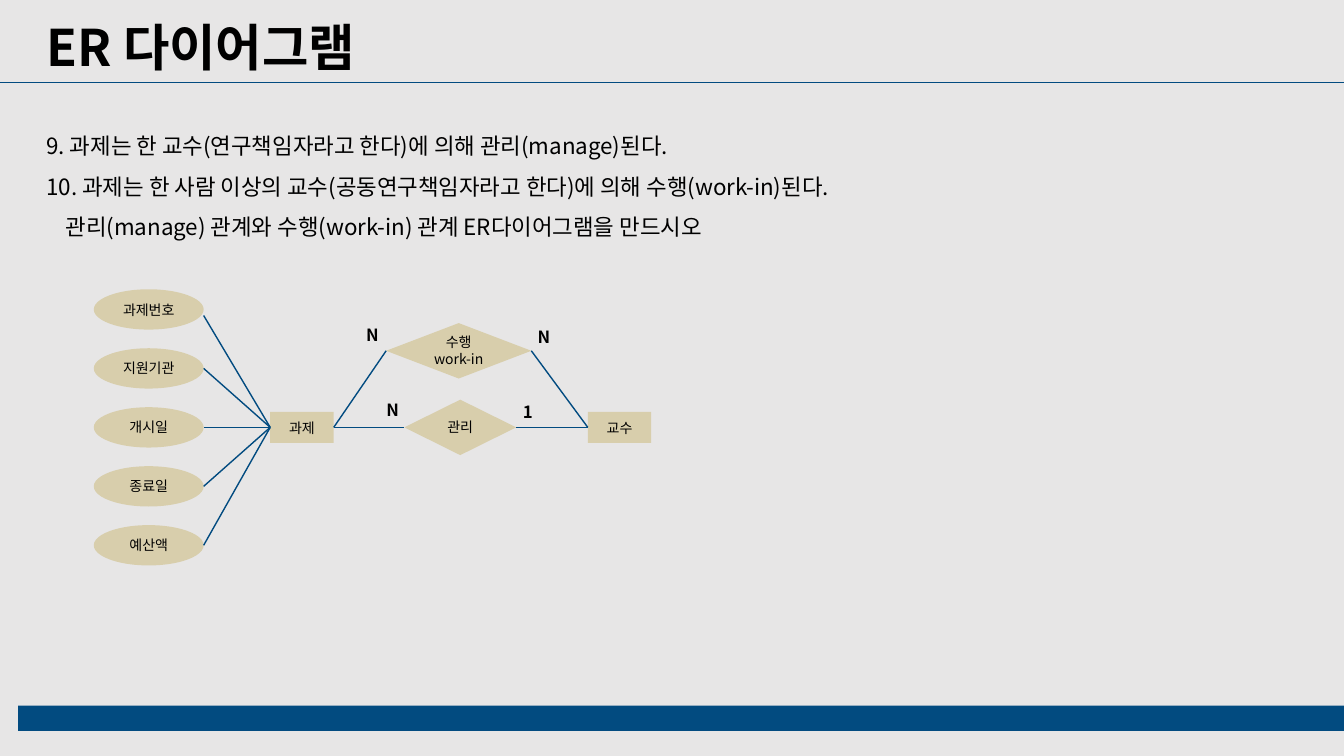
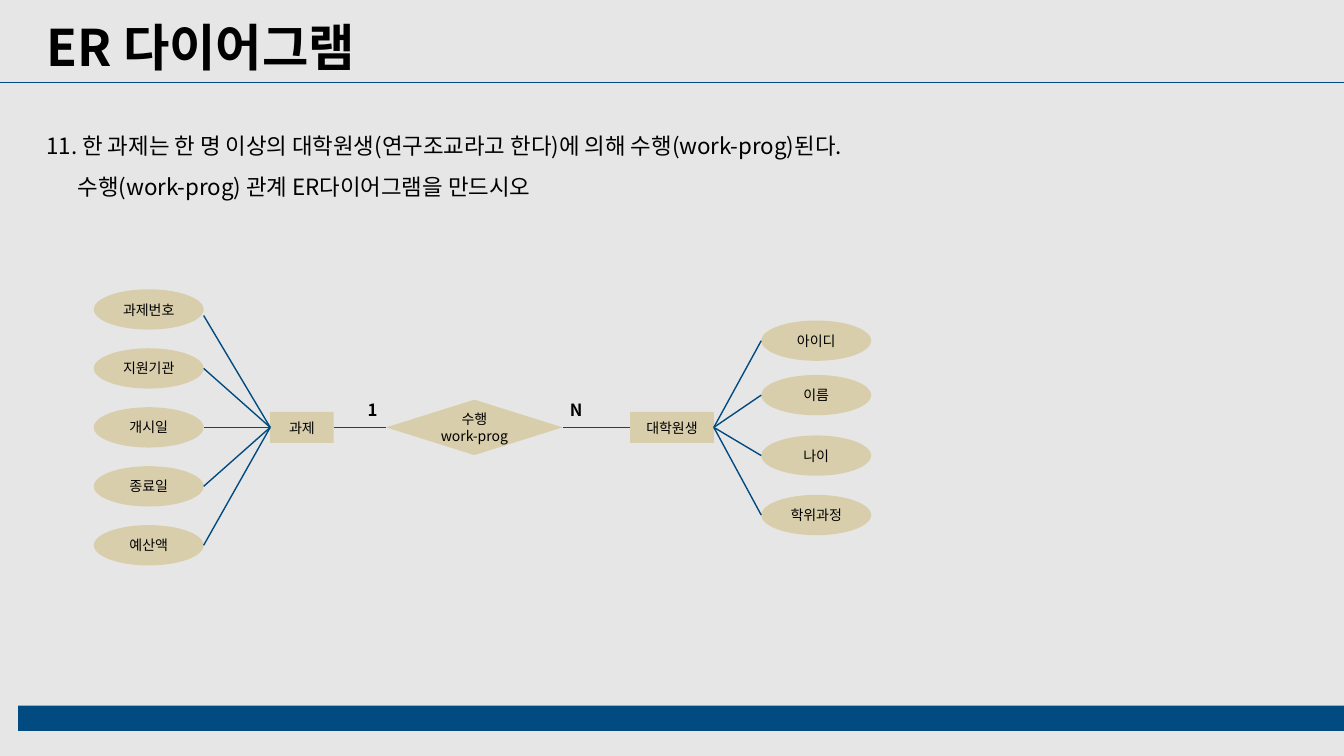
"""Builds two slides of entity-relationship exercises with their diagrams."""
from lxml import etree
from pptx import Presentation, util as u
from pptx.dml.color import RGBColor
from pptx.enum import shapes as es, text as et
from pptx.oxml.ns import qn

FONT = "Noto Sans CJK KR"
COLORS = {"back": "E7E6E6", "blue": "024B80", "sand": "D8CEAC", "ink": "000000"}
KINDS = {
    "entity": es.MSO_SHAPE.RECTANGLE,
    "relation": es.MSO_SHAPE.DIAMOND,
    "field": es.MSO_SHAPE.OVAL,
}
TITLE = "ER 다이어그램"
WIDE, TALL = 13.33, 7.5
AXIS = 4.24
LEFT, RIGHT = 1, 3
FIELD_W, FIELD_H = 1.09, 0.4
ENTITY_H, RELATION_H = 0.31, 0.55
MARK_W, MARK_H = 0.23, 0.26
STEP = 0.585

PROJECT = {
    "owner": "과제", "x": 0.93, "side": LEFT,
    "fields": ["과제번호", "지원기관", "개시일", "종료일", "예산액"],
    "mids": [AXIS + (i - 2) * STEP for i in range(5)],
    "drops": [0.06, 0, 0, 0, 0],
}
STUDENT = {
    "owner": "대학원생", "x": 7.55, "side": RIGHT,
    "fields": ["아이디", "이름", "나이", "학위과정"],
    "mids": [3.38, 3.92, 4.52, 5.11],
    "drops": [0, 0, 0, 0],
}
SLIDES = [
    {
        "lines": [
            ("9. 과제는 한 교수(연구책임자라고 한다)에 의해 관리(manage)된다.", 0),
            ("10. 과제는 한 사람 이상의 교수(공동연구책임자라고 한다)에 의해 수행(work-in)된다.", 0),
            ("관리(manage) 관계와 수행(work-in) 관계 ER다이어그램을 만드시오", 0.19),
        ],
        "height": 1.31,
        "entities": [("과제", 2.68, 0.63), ("교수", 5.83, 0.63)],
        "relations": [("수행\nwork-in", 3.83, 3.48, 1.44), ("관리", 4.01, AXIS, 1.11)],
        "marks": [("N", 3.58, 3.19), ("N", 5.28, 3.21), ("N", 3.78, 3.94), ("1", 5.12, 3.96)],
        "groups": [PROJECT],
    },
    {
        "lines": [
            ("11. 한 과제는 한 명 이상의 대학원생(연구조교라고 한다)에 의해 수행(work-prog)된다.", 0),
            ("수행(work-prog) 관계 ER다이어그램을 만드시오", 0.31),
        ],
        "height": 0.86,
        "entities": [("과제", 2.68, 0.63), ("대학원생", 6.25, 0.83)],
        "relations": [("수행\nwork-prog", 3.83, AXIS, 1.75)],
        "marks": [("1", 3.58, 3.94), ("N", 5.6, 3.94)],
        "groups": [PROJECT, STUDENT],
    },
]


def color(name):
    return RGBColor.from_string(COLORS[name])


def style(frame, size, bold=False, align=et.PP_ALIGN.CENTER):
    for para in frame.paragraphs:
        para.alignment = align
        for run in para.runs:
            font = run.font
            font.name, font.size, font.bold = FONT, u.Pt(size), bold
            font.color.rgb = color("ink")
            east = etree.SubElement(run._r.get_or_add_rPr(), qn("a:ea"))
            east.set("typeface", FONT)


def tight(frame):
    frame.word_wrap = False
    frame.vertical_anchor = et.MSO_ANCHOR.MIDDLE
    frame.margin_left = frame.margin_right = 0
    frame.margin_top = frame.margin_bottom = 0


def block(slide, kind, box, fill):
    shape = slide.shapes.add_shape(kind, *map(u.Inches, box))
    shape.shadow.inherit = False
    shape.fill.solid()
    shape.fill.fore_color.rgb = color(fill)
    shape.line.fill.background()
    return shape


def node(slide, kind, label, x, mid, width, height):
    shape = block(slide, KINDS[kind], (x, mid - height / 2, width, height), "sand")
    shape.text_frame.text = label
    tight(shape.text_frame)
    style(shape.text_frame, 10)
    return shape


def link(slide, start, end, width=1):
    line = slide.shapes.add_connector(
        es.MSO_CONNECTOR.STRAIGHT, *map(u.Inches, (*start, *end)))
    line.line.color.rgb = color("blue")
    line.line.width = u.Pt(width)
    etree.SubElement(line._element.spPr, qn("a:effectLst"))
    return line


def join(slide, first, last):
    line = link(slide, (0, 0), (1, 1))
    line.begin_connect(first, RIGHT)
    line.end_connect(last, LEFT)


def place(holder, box):
    holder.left, holder.top, holder.width, holder.height = map(u.Inches, box)
    frame = holder.text_frame
    frame.word_wrap = True
    frame.auto_size = et.MSO_AUTO_SIZE.NONE
    frame.vertical_anchor = et.MSO_ANCHOR.TOP
    return frame


def base(slide):
    block(slide, KINDS["entity"], (0.18, 7, WIDE - 0.18, 0.25), "blue")
    link(slide, (0, 0.82), (WIDE, 0.82), 0.5)
    frame = place(slide.shapes.title, (0.36, 0.11, 8.71, 0.71))
    frame.text = TITLE
    style(frame, 36, True, et.PP_ALIGN.LEFT)


def body(slide, lines, height):
    frame = place(slide.placeholders[1], (0.36, 1.13, 10.86, height))
    frame.text = "\n".join(line for line, _ in lines)
    for para, (_, inset) in zip(frame.paragraphs, lines):
        para.line_spacing = 1.5
        para.space_before = u.Pt(0)
        props = para._p.get_or_add_pPr()
        props.set("marL", str(u.Inches(inset)))
        props.set("indent", "0")
        etree.SubElement(props, qn("a:buNone"))
    style(frame, 16, align=et.PP_ALIGN.LEFT)


def fan(slide, owner, group):
    side = group["side"]
    edge = group["x"] + (FIELD_W if side == LEFT else 0)
    for label, mid, drop in zip(group["fields"], group["mids"], group["drops"]):
        node(slide, "field", label, group["x"], mid, FIELD_W, FIELD_H)
        line = link(slide, (0, 0), (edge, mid + drop))
        line.begin_connect(owner, side)


def mark(slide, label, x, y):
    box = slide.shapes.add_textbox(*map(u.Inches, (x, y, MARK_W, MARK_H)))
    box.text_frame.text = label
    tight(box.text_frame)
    style(box.text_frame, 12, True)


def diagram(slide, data):
    owners = {label: node(slide, "entity", label, x, AXIS, width, ENTITY_H)
              for label, x, width in data["entities"]}
    first, last = owners.values()
    for label, x, mid, width in data["relations"]:
        shape = node(slide, "relation", label, x, mid, width, RELATION_H)
        join(slide, first, shape)
        join(slide, shape, last)
    for group in data["groups"]:
        fan(slide, owners[group["owner"]], group)
    for item in data["marks"]:
        mark(slide, *item)


def main():
    deck = Presentation()
    deck.slide_width, deck.slide_height = u.Inches(WIDE), u.Inches(TALL)
    back = deck.slide_master.background.fill
    back.solid()
    back.fore_color.rgb = color("back")
    for data in SLIDES:
        slide = deck.slides.add_slide(deck.slide_layouts[1])
        base(slide)
        body(slide, data["lines"], data["height"])
        diagram(slide, data)
    deck.save("out.pptx")


if __name__ == "__main__":
    main()
